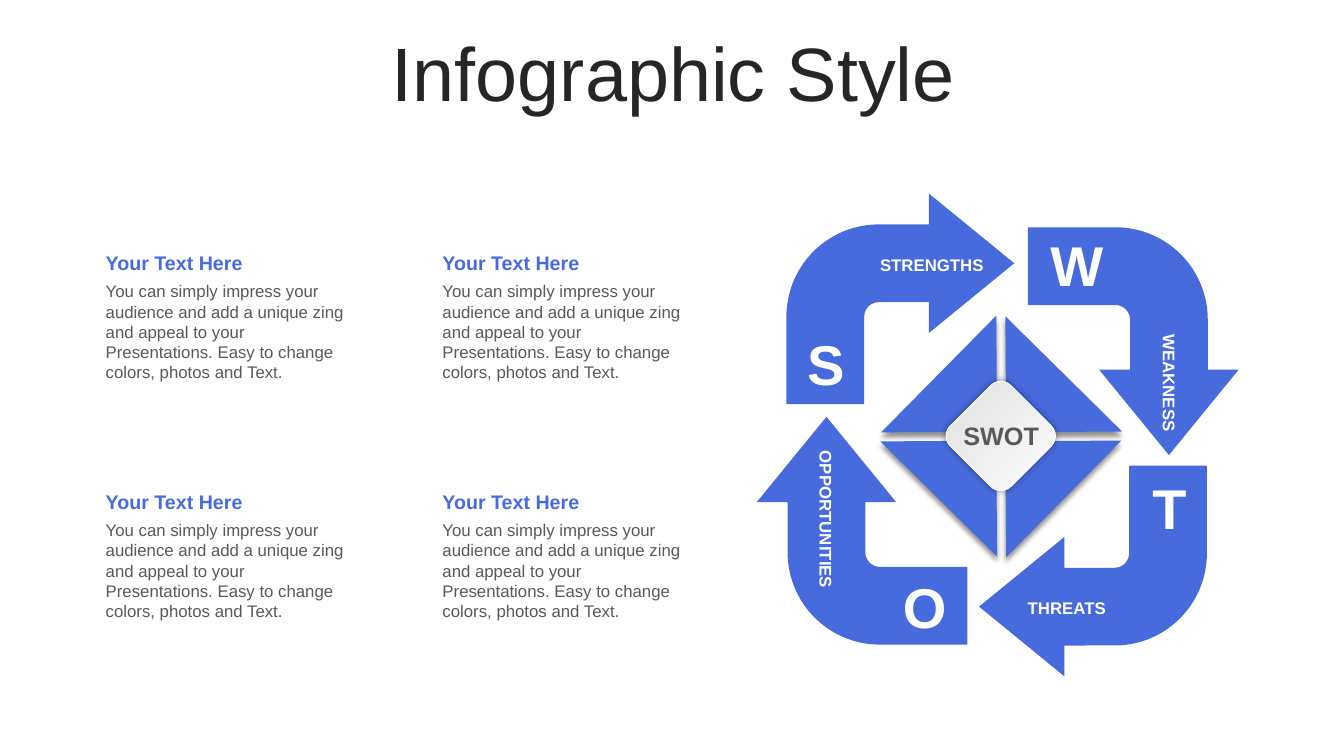
"""Build a SWOT slide with four bent arrows around a split diamond."""
from dataclasses import dataclass
from itertools import product

from lxml.etree import SubElement
from pptx import Presentation
from pptx.dml.color import RGBColor
from pptx.enum.shapes import MSO_SHAPE
from pptx.enum.text import MSO_ANCHOR, MSO_AUTO_SIZE, PP_ALIGN
from pptx.oxml.ns import qn
from pptx.shapes.autoshape import Shape
from pptx.slide import Slide
from pptx.util import Inches, Pt

HUES = {"blue": "476ADD", "dark": "262626", "gray": "595959",
        "white": "FFFFFF", "pale": "DEDEDE", "black": "000000"}
STYLES = {
    "title": {"size": Pt(54), "bold": False},
    "head": {"size": Pt(14), "bold": True},
    "body": {"size": Pt(12), "bold": False},
    "letter": {"size": Pt(40), "bold": True},
    "label": {"size": Pt(12), "bold": True},
    "core": {"size": Pt(18), "bold": True},
}
HEAD = "Your Text Here"
BODY = ("You can simply impress your audience and add a unique zing and appeal "
        "to your Presentations. Easy to change colors, photos and Text.")
LEFT, MID, RIGHT = PP_ALIGN.LEFT, PP_ALIGN.CENTER, PP_ALIGN.RIGHT
Box = tuple[float, float, float, float]


@dataclass
class Label:
    """A caption lying on an arrow."""
    text: str
    box: Box
    turn: int
    align: PP_ALIGN


@dataclass
class Arrow:
    """A bent arrow with its large letter and its caption."""
    left: float
    top: float
    turn: int
    letter: str
    spot: tuple[float, float]
    label: Label


ARROWS = [
    Arrow(7.8, 1.92, 0, "S", (7.74, 3.22),
          Label("STRENGTHS", (8.35, 2.48, 1.52, 0.29), 0, RIGHT)),
    Arrow(10.11, 2.34, 90, "W", (10.23, 2.24),
          Label("WEAKNESS", (10.84, 3.49, 1.52, 0.29), 90, RIGHT)),
    Arrow(9.71, 4.62, 180, "T", (11.15, 4.65),
          Label("THREATS", (10.08, 5.88, 1.52, 0.29), 0, LEFT)),
    Arrow(7.42, 4.22, 270, "O", (8.72, 5.63),
          Label("OPPORTUNITIES", (7.22, 5.19, 1.95, 0.29), 90, LEFT)),
]


def tint(name: str) -> RGBColor:
    """Return a named colour."""
    return RGBColor.from_string(HUES[name])


def write(shape: Shape, text: str, style: str, hue: str, align: PP_ALIGN) -> None:
    """Put one styled paragraph into a shape."""
    frame = shape.text_frame
    frame.word_wrap = True
    para = frame.paragraphs[0]
    para.alignment = align
    run = para.add_run()
    run.text = text
    run.font.name = "Arial"
    run.font.color.rgb = tint(hue)
    for key, value in STYLES[style].items():
        setattr(run.font, key, value)


def add_text(slide: Slide, box: Box, text: str, style: str, hue: str,
             align: PP_ALIGN = LEFT) -> Shape:
    """Add a text box that grows with its text."""
    shape = slide.shapes.add_textbox(*map(Inches, box))
    write(shape, text, style, hue, align)
    shape.text_frame.auto_size = MSO_AUTO_SIZE.SHAPE_TO_FIT_TEXT
    return shape


def add_form(slide: Slide, kind: MSO_SHAPE, box: Box, turn: float = 0,
             hue: str = "") -> Shape:
    """Add a preset shape without line or shadow."""
    shape = slide.shapes.add_shape(kind, *map(Inches, box))
    shape.rotation = turn
    shape.shadow.inherit = False
    shape.line.fill.background()
    if hue:
        shape.fill.solid()
        shape.fill.fore_color.rgb = tint(hue)
    else:
        shape.fill.background()
    return shape


def add_shade(shape: Shape, alpha: int, blur: int, dist: int, angle: int) -> None:
    """Give a shape an outer shadow."""
    effects = shape.element.spPr.find(qn("a:effectLst"))
    shade = SubElement(effects, qn("a:outerShdw"), blurRad=str(Pt(blur)),
                       dist=str(Pt(dist)), dir=str(angle * 60000),
                       algn="ctr", rotWithShape="0")
    color = SubElement(shade, qn("a:srgbClr"), val=HUES["black"])
    SubElement(color, qn("a:alpha"), val=str(alpha * 1000))


def add_arrow(slide: Slide, item: Arrow) -> None:
    """Draw a bent arrow."""
    shape = add_form(slide, MSO_SHAPE.BENT_ARROW,
                     (item.left, item.top, 2.26, 2.09), item.turn, "blue")
    for place, value in enumerate((0.369, 0.331, 0.405, 0.438)):
        shape.adjustments[place] = value


def add_label(slide: Slide, item: Label) -> None:
    """Draw the caption of an arrow."""
    shape = add_form(slide, MSO_SHAPE.ROUNDED_RECTANGLE, item.box, item.turn)
    shape.adjustments[0] = 0.178
    shape.text_frame.vertical_anchor = MSO_ANCHOR.MIDDLE
    write(shape, item.text, "label", "white", item.align)


def add_core(slide: Slide) -> None:
    """Draw the split diamond and its centre."""
    side, gap = 1.15, 0.62
    signs = ((1, 1), (1, -1), (-1, -1), (-1, 1))
    for step, (right, down) in enumerate(signs):
        box = (9.93 + right * gap - side / 2, 4.33 + down * gap - side / 2,
               side, side)
        wedge = add_form(slide, MSO_SHAPE.RIGHT_TRIANGLE, box,
                         359.6 - 90 * step, "blue")
        wedge.element.spPr.find(qn("a:xfrm")).set("flipV", "1")
        add_shade(wedge, 43, 4, 3, 90)
    gem = add_form(slide, MSO_SHAPE.ROUNDED_RECTANGLE, (9.5, 3.9, 0.85, 0.85), 45)
    gem.fill.gradient()
    gem.fill.gradient_angle = 0
    for stop, hue, place in zip(gem.fill.gradient_stops, ("pale", "white"), (0, 1)):
        stop.color.rgb = tint(hue)
        stop.position = place
    gem.line.color.rgb = tint("white")
    gem.line.width = Pt(0.5)
    add_shade(gem, 40, 5, 0, 0)
    add_text(slide, (9.43, 4.12, 1, 0.4), "SWOT", "core", "gray", MID)


def main() -> None:
    """Build and save the slide."""
    deck = Presentation()
    deck.slide_width, deck.slide_height = Inches(13.33), Inches(7.5)
    slide = deck.slides.add_slide(deck.slide_layouts[6])
    title = add_text(slide, (0.35, 0.37, 12.66, 0.79), "Infographic Style",
                     "title", "dark", MID)
    title.text_frame.auto_size = MSO_AUTO_SIZE.NONE
    title.text_frame.vertical_anchor = MSO_ANCHOR.MIDDLE
    title.text_frame.paragraphs[0].line_spacing = 0.9
    for top, left in product((2.44, 4.81), (0.95, 4.29)):
        add_text(slide, (left, top + 0.3, 2.61, 1.11), BODY, "body", "gray")
        add_text(slide, (left, top, 2.58, 0.34), HEAD, "head", "blue")
    for item in ARROWS:
        add_arrow(slide, item)
        add_text(slide, (*item.spot, 0.9, 0.77), item.letter, "letter", "white", MID)
        add_label(slide, item.label)
    add_core(slide)
    deck.save("out.pptx")


if __name__ == "__main__":
    main()
